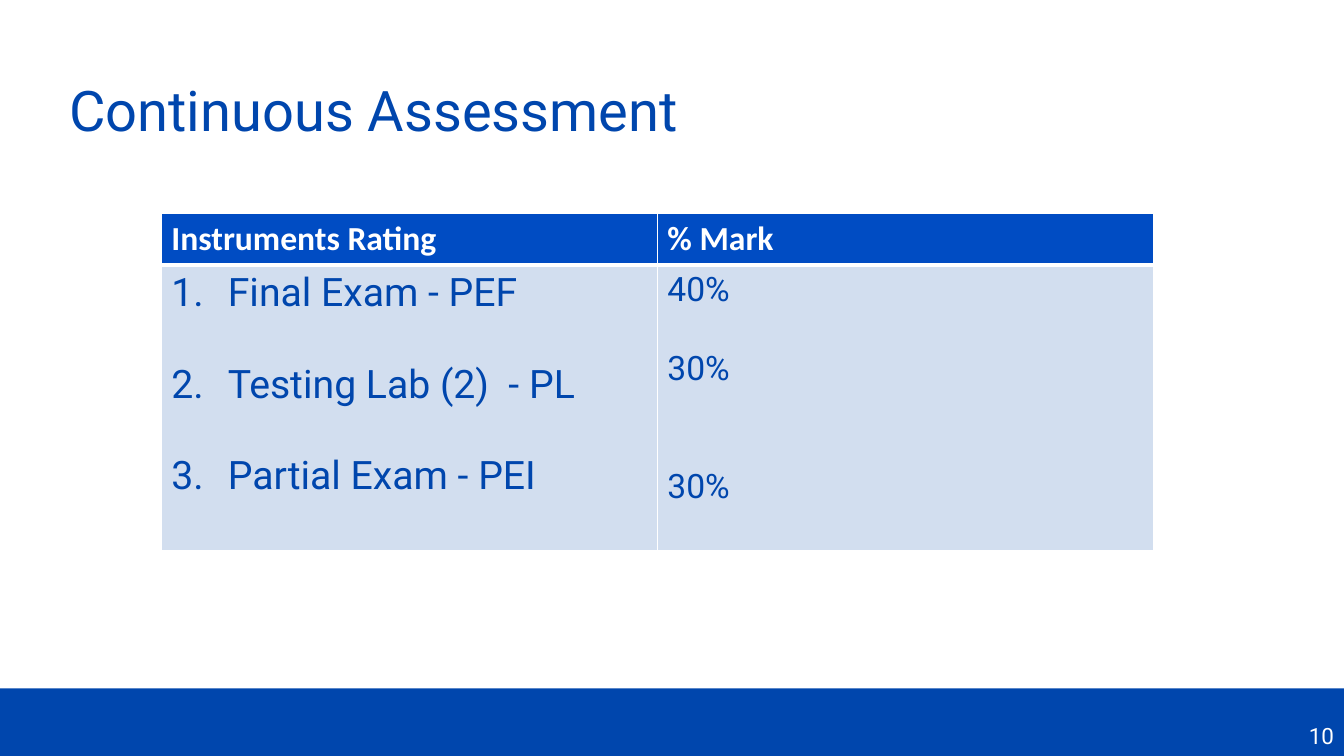
from dataclasses import dataclass

from lxml.etree import SubElement
from pptx import Presentation
from pptx.dml.color import RGBColor
from pptx.enum.shapes import MSO_SHAPE
from pptx.enum.text import MSO_ANCHOR, PP_ALIGN
from pptx.oxml.ns import qn
from pptx.util import Inches, Pt

TITLE = "Continuous Assessment"
PAGE_NUMBER = "10"
HEADERS = ["Instruments Rating", "% Mark"]
INSTRUMENTS = ["Final Exam - PEF", "Testing Lab (2)  - PL", "Partial Exam - PEI"]
MARKS = ["40%", "30%", "30%"]
# Space above each entry, in points
INSTRUMENT_GAPS = [0, 32.8, 32.8]
MARK_GAPS = [0, 28.1, 56.2]


@dataclass(frozen=True)
class Theme:
    blue: str = "0046AD"
    header_blue: str = "004CC3"
    pale_blue: str = "D2DEEF"
    white: str = "FFFFFF"
    body_font: str = "Roboto"
    header_font: str = "Calibri"
    title_size: int = 40
    instrument_size: int = 28
    mark_size: int = 24
    page_size: int = 16
    thin_rule: int = 1
    header_rule: int = 3


THEME = Theme()


def write_text(frame, lines, *, size, color=THEME.blue, font=THEME.body_font,
               bold=False, align=PP_ALIGN.LEFT, spacing=1.0, gaps=None, numbered=False):
    frame.word_wrap = True
    for index, line in enumerate(lines):
        paragraph = frame.add_paragraph() if index else frame.paragraphs[0]
        paragraph.alignment = align
        paragraph.line_spacing = spacing
        paragraph.space_before = Pt(gaps[index] if gaps else 0)
        run = paragraph.add_run()
        run.text = line
        run.font.size = Pt(size)
        run.font.name = font
        run.font.bold = bold
        run.font.color.rgb = RGBColor.from_string(color)
        if numbered:
            properties = paragraph._p.get_or_add_pPr()
            properties.set("marL", str(Inches(0.56)))
            properties.set("indent", str(Inches(-0.56)))
            SubElement(properties, qn("a:buFont"), typeface="+mj-lt")
            SubElement(properties, qn("a:buAutoNum"), type="arabicPeriod")


def style_cell(cell, fill, top, bottom):
    """Fill the cell and rule its four sides; top and bottom widths are in points."""
    properties = cell._tc.get_or_add_tcPr()
    sides = {"lnL": THEME.thin_rule, "lnR": THEME.thin_rule, "lnT": top, "lnB": bottom}
    for side, width in sides.items():
        rule = SubElement(properties, qn(f"a:{side}"), w=str(Pt(width)))
        solid = SubElement(rule, qn("a:solidFill"))
        SubElement(solid, qn("a:srgbClr"), val=THEME.white)
    cell.fill.solid()
    cell.fill.fore_color.rgb = RGBColor.from_string(fill)


def add_footer(slide, width):
    band = slide.shapes.add_shape(MSO_SHAPE.RECTANGLE, 0, Inches(6.83), width, Inches(0.71))
    band.shadow.inherit = False
    band.fill.solid()
    band.fill.fore_color.rgb = RGBColor.from_string(THEME.blue)
    band.line.fill.background()
    frame = band.text_frame
    frame.vertical_anchor = MSO_ANCHOR.BOTTOM
    frame.margin_bottom = Inches(0.11)
    write_text(frame, [PAGE_NUMBER], size=THEME.page_size, color=THEME.white,
               align=PP_ALIGN.RIGHT)


def add_title(slide):
    title = slide.shapes.add_textbox(Inches(0.59), Inches(0.4), Inches(11.83), Inches(1.45))
    title.text_frame.vertical_anchor = MSO_ANCHOR.MIDDLE
    write_text(title.text_frame, [TITLE], size=THEME.title_size, spacing=0.9)


def add_assessment_table(slide):
    header_height, body_height = Inches(0.51), Inches(2.83)
    table = slide.shapes.add_table(2, len(HEADERS), Inches(1.6), Inches(2.12),
                                   Inches(9.84), header_height + body_height).table
    table.rows[0].height = header_height
    table.rows[1].height = body_height
    for column, header in enumerate(HEADERS):
        head, body = table.cell(0, column), table.cell(1, column)
        style_cell(head, THEME.header_blue, THEME.thin_rule, THEME.header_rule)
        style_cell(body, THEME.pale_blue, THEME.header_rule, THEME.thin_rule)
        write_text(head.text_frame, [header], size=THEME.mark_size, color=THEME.white,
                   font=THEME.header_font, bold=True)
    write_text(table.cell(1, 0).text_frame, INSTRUMENTS, size=THEME.instrument_size,
               gaps=INSTRUMENT_GAPS, numbered=True)
    write_text(table.cell(1, 1).text_frame, MARKS, size=THEME.mark_size, gaps=MARK_GAPS)


def main():
    deck = Presentation()
    deck.slide_width, deck.slide_height = Inches(13.33), Inches(7.5)
    slide = deck.slides.add_slide(deck.slide_layouts[6])
    add_footer(slide, deck.slide_width)
    add_title(slide)
    add_assessment_table(slide)
    deck.save("out.pptx")


if __name__ == "__main__":
    main()
